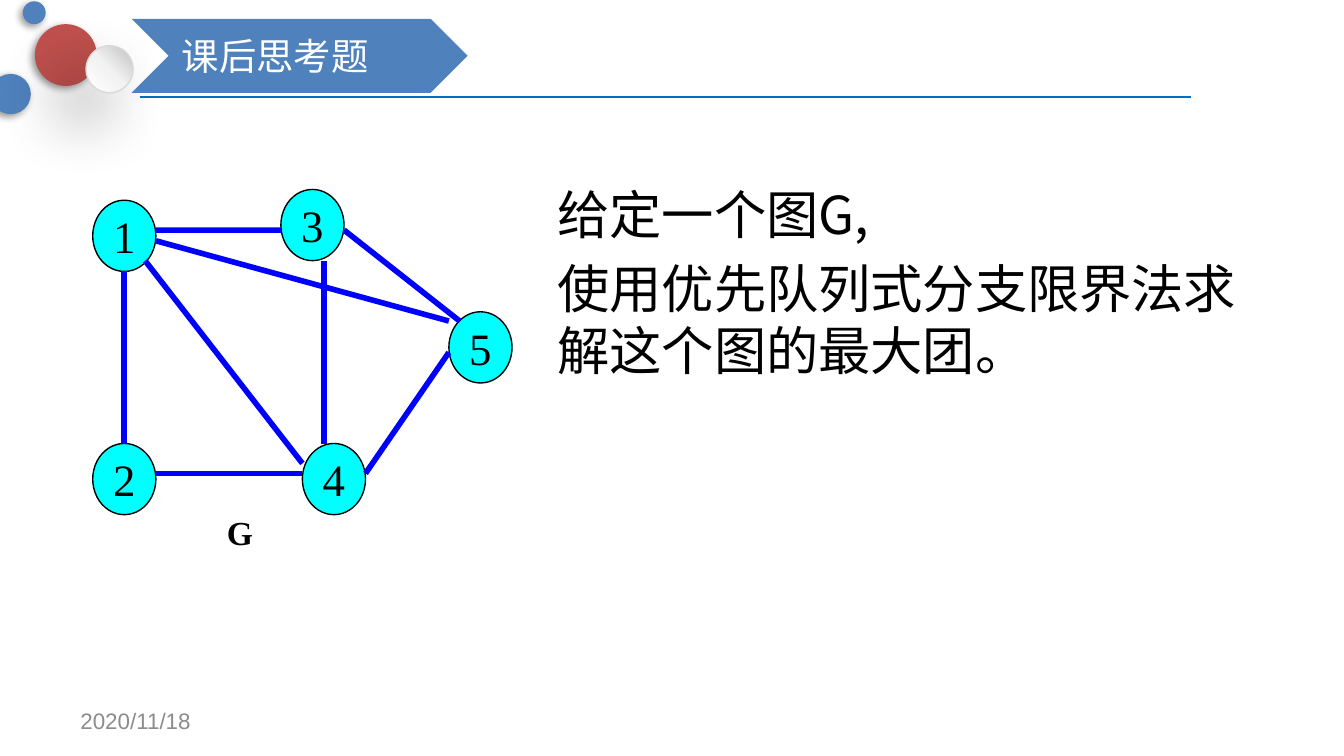
from lxml import etree
from pptx import Presentation
from pptx.dml.color import RGBColor
from pptx.enum.shapes import MSO_CONNECTOR, MSO_SHAPE
from pptx.enum.text import MSO_ANCHOR, PP_ALIGN
from pptx.oxml import parse_xml
from pptx.oxml.ns import qn
from pptx.util import Inches, Pt

STRAIGHT = MSO_CONNECTOR.STRAIGHT
OVAL, CHEVRON = MSO_SHAPE.OVAL, MSO_SHAPE.CHEVRON
TOP, MIDDLE = MSO_ANCHOR.TOP, MSO_ANCHOR.MIDDLE
LEFT, CENTER = PP_ALIGN.LEFT, PP_ALIGN.CENTER

A_NS = "http://schemas.openxmlformats.org/drawingml/2006/main"
CJK, SERIF, SANS = "Noto Sans CJK SC", "Times New Roman", "Arial"
BLUE, RED, CYAN, EDGE = "4F81BD", "C0504D", "00FFFF", "0000FF"

TITLE = "课后思考题"
QUESTION = ["给定一个图G,", "使用优先队列式分支限界法求解这个图的最大团。"]
DATE = "2020/11/18"
GRAPH_NAME = "G"

# left, top, diameter, fill (None: silver gradient), shadow blur, shadow distance
BUBBLES = [
    (0.26, 0.18, 0.46, RED, 4, 2),
    (-0.07, 0.55, 0.30, BLUE, 4, 2),
    (0.64, 0.34, 0.35, None, 35, 20),
    (0.17, 0.01, 0.17, BLUE, 4, 2),
]
SILVER = [(0, "FFFFFF"), (50, "F2F2F2"), (100, "BFBFBF")]

NODE_W, NODE_H = 0.47, 0.53
NODES = {"1": (0.69, 1.49), "3": (2.09, 1.41), "2": (0.69, 3.3),
         "4": (2.25, 3.3), "5": (3.34, 2.32)}
# each end: node, then the share of the node's width and height
EDGES = [
    (("1", 0.5, 1), ("2", 0.5, 0)),
    (("2", 1, 0.42), ("4", 0, 0.42)),
    (("1", 1, 0.42), ("3", 0, 0.57)),
    (("3", 1, 0.57), ("5", 0.17, 0.13)),
    (("4", 1, 0.42), ("5", 0, 0.57)),
    (("3", 0.68, 1), ("4", 0.34, 0)),
    (("1", 0.83, 0.85), ("4", 0, 0.28)),
    (("1", 1, 0.57), ("5", 0, 0.13)),
]


def rgb(value):
    return RGBColor.from_string(value)


def add_line(s, start, end, color, width):
    line = s.shapes.add_connector(STRAIGHT, *map(Inches, start + end))
    line.line.color.rgb = rgb(color)
    line.line.width = Pt(width)
    etree.SubElement(line._element.spPr, qn("a:effectLst"))


def add_shape(s, kind, box, fill=None, outline=None):
    sp = s.shapes.add_shape(kind, *map(Inches, box))
    sp.shadow.inherit = False
    if fill:
        sp.fill.solid()
        sp.fill.fore_color.rgb = rgb(fill)
    if outline:
        sp.line.color.rgb = rgb(outline)
        sp.line.width = Pt(0.75)
    else:
        sp.line.fill.background()
    return sp


def add_shadow(sp, blur, distance):
    """Cast a 40 % black shadow to the lower left."""
    effects = sp._element.spPr.find(qn("a:effectLst"))
    effects.append(parse_xml(
        f'<a:outerShdw xmlns:a="{A_NS}" blurRad="{Pt(blur)}" dist="{Pt(distance)}" '
        'dir="8100000" algn="tr" rotWithShape="0"><a:srgbClr val="000000">'
        '<a:alpha val="40000"/></a:srgbClr></a:outerShdw>'))


def fill_gradient(sp, stops, angle):
    marks = "".join(f'<a:gs pos="{pos * 1000}"><a:srgbClr val="{color}"/></a:gs>'
                    for pos, color in stops)
    sp._element.spPr.find(qn("a:prstGeom")).addnext(parse_xml(
        f'<a:gradFill xmlns:a="{A_NS}"><a:gsLst>{marks}</a:gsLst>'
        f'<a:lin ang="{angle * 60000}" scaled="0"/></a:gradFill>'))


def write(sp, lines, size, font, color, align=LEFT, anchor=MIDDLE,
          bold=False, wrap=True, before=0):
    tf = sp.text_frame
    tf.word_wrap = wrap
    tf.vertical_anchor = anchor
    for i, text in enumerate(lines):
        p = tf.paragraphs[0] if i == 0 else tf.add_paragraph()
        p.alignment = align
        p.space_before = Pt(before)
        r = p.add_run()
        r.text = text
        r.font.size = Pt(size)
        r.font.bold = bold
        r.font.name = font
        r.font.color.rgb = rgb(color)
        etree.SubElement(r._r.rPr, qn("a:ea")).set("typeface", font)


def add_text(s, box, lines, size, font, color, **style):
    write(s.shapes.add_textbox(*map(Inches, box)), lines, size, font, color, **style)


def point_on(node, share_x, share_y):
    left, top = NODES[node]
    return left + share_x * NODE_W, top + share_y * NODE_H


def add_header(s):
    add_line(s, (1.04, 0.72), (8.86, 0.72), "0070C0", 1.25)
    for left, top, size, fill, blur, distance in BUBBLES:
        bubble = add_shape(s, OVAL, (left, top, size, size), fill,
                           None if fill else "D9D9D9")
        if not fill:
            fill_gradient(bubble, SILVER, 315)
        add_shadow(bubble, blur, distance)
    banner = add_shape(s, CHEVRON, (0.98, 0.14, 2.5, 0.55), BLUE)
    write(banner, [TITLE], 20, CJK, "FFFFFF")


def add_graph(s):
    for name, corner in NODES.items():
        node = add_shape(s, OVAL, corner + (NODE_W, NODE_H), CYAN, "000000")
        write(node, [name], 24, SERIF, "000000", align=CENTER, wrap=False)
    for start, end in EDGES:
        add_line(s, point_on(*start), point_on(*end), EDGE, 3)
    add_text(s, (1.59, 3.76, 0.4, 0.4), [GRAPH_NAME], 18, SERIF, "000000",
             anchor=TOP, bold=True, wrap=False)


def main():
    prs = Presentation()
    prs.slide_width = Inches(10)
    prs.slide_height = prs.slide_width * 9 // 16
    s = prs.slides.add_slide(prs.slide_layouts[6])
    add_header(s)
    add_text(s, (4.05, 1.31, 5.45, 3.71), QUESTION, 28, CJK, "000000",
             anchor=TOP, before=5.6)
    add_text(s, (0.5, 5.21, 2.33, 0.3), [DATE], 12, SANS, "8C8C8C")
    add_graph(s)
    prs.save("out.pptx")


if __name__ == "__main__":
    main()
